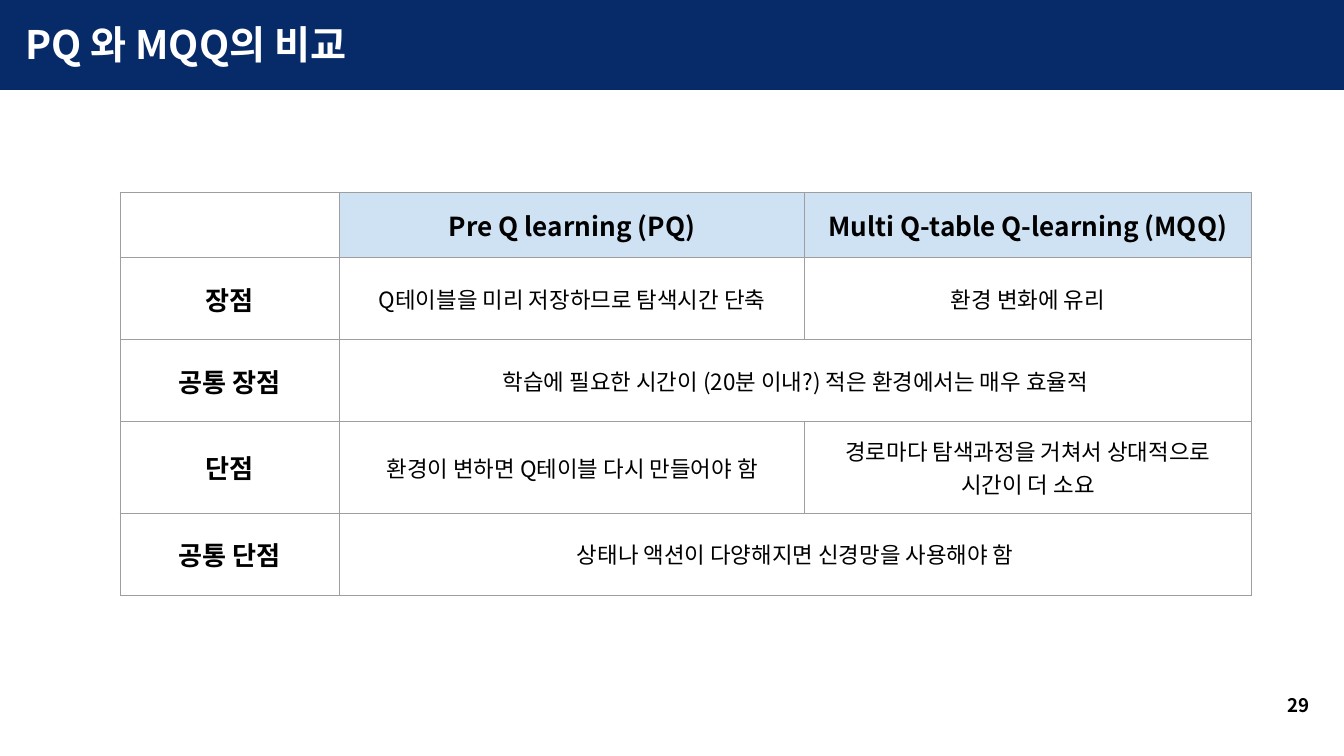
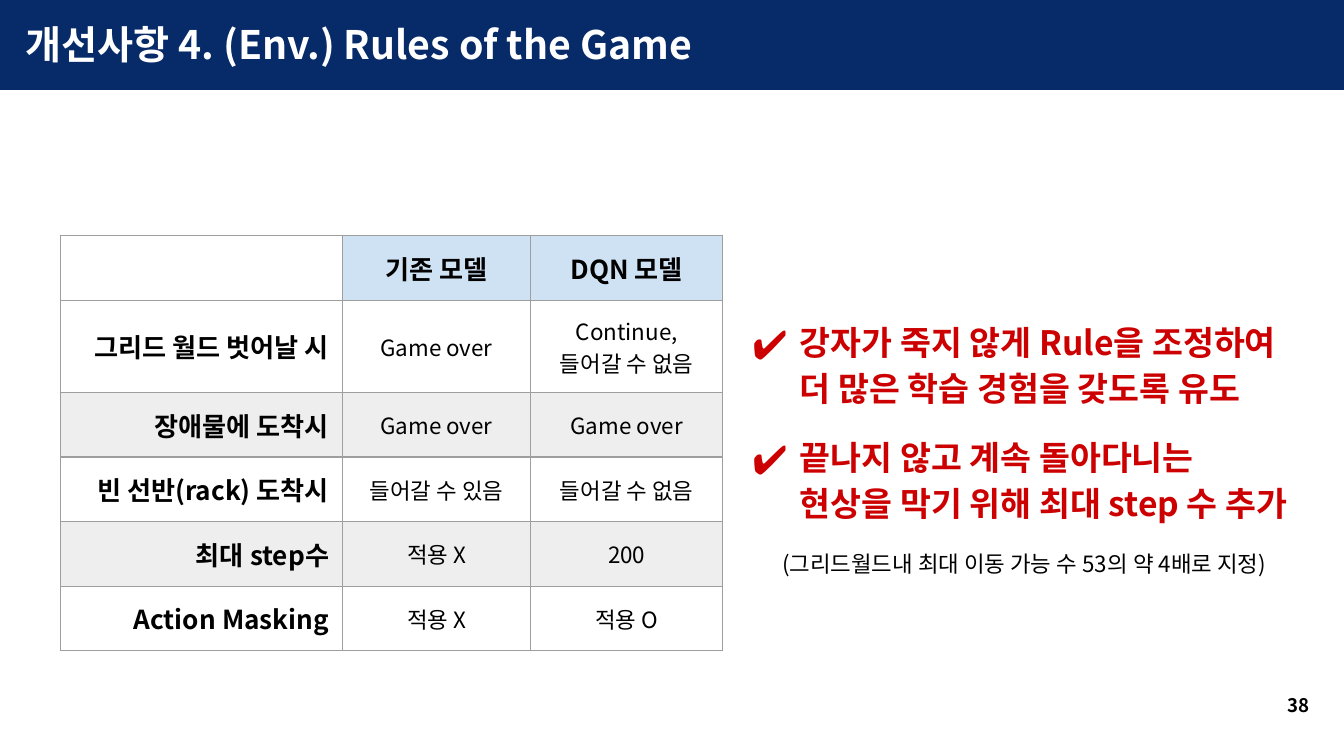
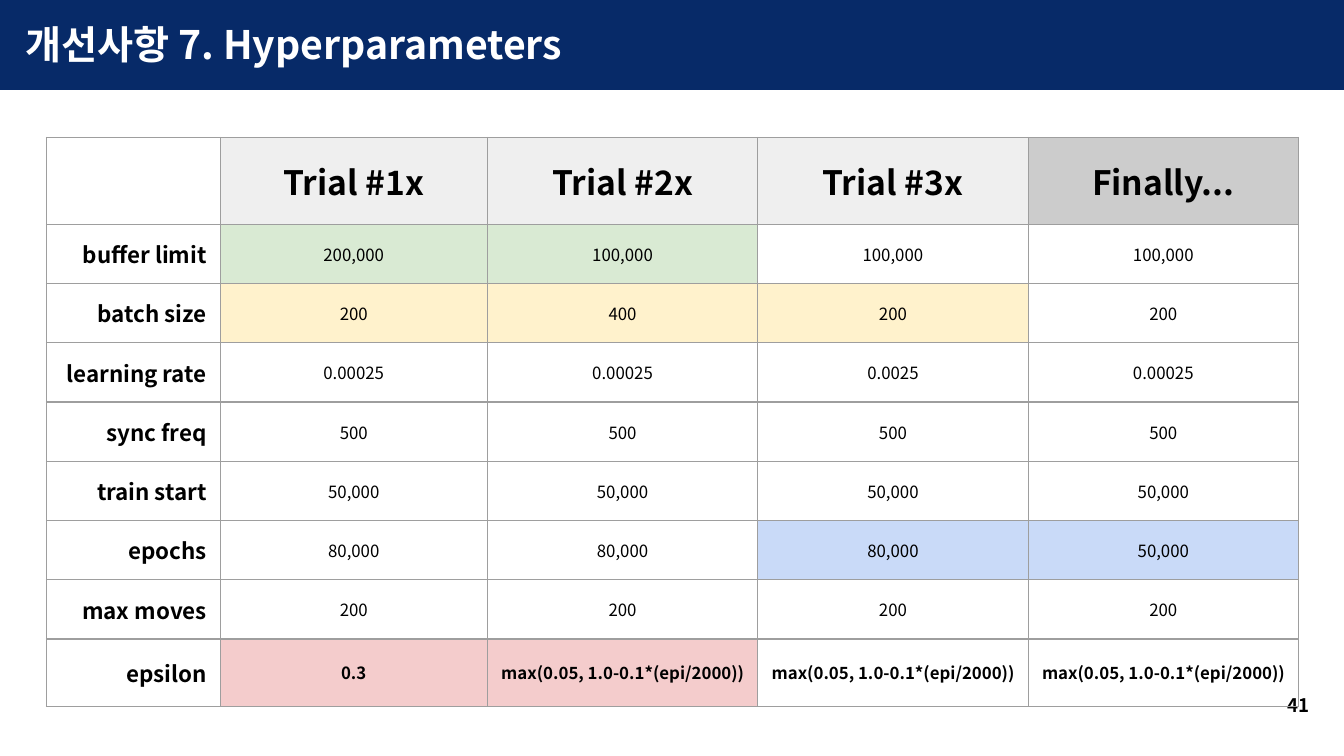
from lxml.etree import SubElement
from pptx import Presentation
from pptx.dml.color import RGBColor
from pptx.enum.shapes import MSO_SHAPE
from pptx.enum.text import MSO_ANCHOR, MSO_AUTO_SIZE, PP_ALIGN
from pptx.oxml import parse_xml
from pptx.oxml.ns import nsdecls, qn
from pptx.util import Cm, Pt

FONT = "Noto Sans CJK KR"
HUES = {
    "navy": "072A68", "white": "FFFFFF", "black": "000000", "red": "CC0000",
    "line": "9E9E9E", "sky": "CFE2F3", "band": "EEEEEE", "pale": "EFEFEF",
    "gray": "CCCCCC", "green": "D9EAD3", "cream": "FFF2CC",
    "blue": "C9DAF8", "pink": "F4CCCC",
}
PAD = 0.25
DECAY = "max(0.05, 1.0-0.1*(epi/2000))"

DECK = [
    {
        "title": "PQ 와 MQQ의 비교", "page": 29,
        "at": (2.27, 3.64),
        "cols": [4.15, 8.79, 8.44], "tall": [1.23, 1.55, 1.55, 1.73, 1.55],
        "sizes": {"head": 14, "side": 14, "body": 12},
        "side": PP_ALIGN.CENTER, "strong": [],
        "rows": [
            ["", "Pre Q learning (PQ)", "Multi Q-table Q-learning (MQQ)"],
            ["장점", "Q테이블을 미리 저장하므로 탐색시간 단축", "환경 변화에 유리"],
            ["공통 장점", "학습에 필요한 시간이 (20분 이내?) 적은 환경에서는 매우 효율적", None],
            ["단점", "환경이 변하면 Q테이블 다시 만들어야 함",
             "경로마다 탐색과정을 거쳐서 상대적으로 시간이 더 소요"],
            ["공통 단점", "상태나 액션이 다양해지면 신경망을 사용해야 함", None],
        ],
        "tints": [("sky", 0, 1, 2)],
    },
    {
        "title": "개선사항 4. (Env.) Rules of the Game", "page": 38,
        "at": (1.14, 4.45),
        "cols": [5.33, 3.56, 3.63], "tall": [1.23, 1.74] + [1.22] * 4,
        "sizes": {"head": 14, "side": 14, "body": 12},
        "side": PP_ALIGN.RIGHT, "strong": [],
        "rows": [
            ["", "기존 모델", "DQN 모델"],
            ["그리드 월드 벗어날 시", "Game over", "Continue,\n들어갈 수 없음"],
            ["장애물에 도착시", "Game over", "Game over"],
            ["빈 선반(rack) 도착시", "들어갈 수 있음", "들어갈 수 없음"],
            ["최대 step수", "적용 X", "200"],
            ["Action Masking", "적용 X", "적용 O"],
        ],
        "tints": [("sky", 0, 1, 2), ("band", 2, 0, 2), ("band", 4, 0, 2)],
        "points": [
            "강자가 죽지 않게 Rule을 조정하여\v더 많은 학습 경험을 갖도록 유도",
            "끝나지 않고 계속 돌아다니는\v현상을 막기 위해 최대 step 수 추가",
        ],
        "aside": "(그리드월드내 최대 이동 가능 수 53의 약 4배로 지정)",
    },
    {
        "title": "개선사항 7. Hyperparameters", "page": 41,
        "at": (0.88, 2.6),
        "cols": [3.28, 5.05] + [5.11] * 3, "tall": [1.64] + [1.12] * 7 + [1.27],
        "sizes": {"head": 18, "side": 12, "body": 9},
        "side": PP_ALIGN.RIGHT, "strong": [8],
        "rows": [
            ["", "Trial #1x", "Trial #2x", "Trial #3x", "Finally..."],
            ["buffer limit", "200,000", "100,000", "100,000", "100,000"],
            ["batch size", "200", "400", "200", "200"],
            ["learning rate", "0.00025", "0.00025", "0.0025", "0.00025"],
            ["sync freq"] + ["500"] * 4,
            ["train start"] + ["50,000"] * 4,
            ["epochs", "80,000", "80,000", "80,000", "50,000"],
            ["max moves"] + ["200"] * 4,
            ["epsilon", "0.3"] + [DECAY] * 3,
        ],
        "tints": [
            ("pale", 0, 1, 3), ("gray", 0, 4, 4), ("green", 1, 1, 2),
            ("cream", 2, 1, 3), ("blue", 6, 3, 4), ("pink", 8, 1, 2),
        ],
    },
]


def rgb(hue):
    return RGBColor.from_string(HUES[hue])


def apply(item, form):
    for name, value in form.items():
        setattr(item, name, value)


def style(para, size, hue="black", bold=True, **form):
    apply(para, form)
    for run in para.runs:
        apply(run.font, {"name": FONT, "size": Pt(size), "bold": bold})
        run.font.color.rgb = rgb(hue)
    if not para.runs:
        SubElement(para._p, qn("a:endParaRPr")).set("sz", str(size * 100))


def pad(item):
    sides = ("left", "top", "right", "bottom")
    apply(item, {f"margin_{side}": Cm(PAD) for side in sides})


def add_box(slide, place, lines, anchor=MSO_ANCHOR.MIDDLE):
    frame = slide.shapes.add_textbox(*map(Cm, place)).text_frame
    pad(frame)
    apply(frame, {"word_wrap": True, "vertical_anchor": anchor,
                  "text": "\n".join(lines)})
    return frame


def add_frame(slide, page):
    band = slide.shapes.add_shape(
        MSO_SHAPE.RECTANGLE, 0, 0, Cm(25.42), Cm(1.69))
    band.shadow.inherit = False
    band.fill.solid()
    band.fill.fore_color.rgb = band.line.color.rgb = rgb("navy")
    band.line.width = Pt(0.75)
    title = add_box(slide, (0.23, 0.03, 23.67, 1.6), [page["title"]])
    style(title.paragraphs[0], 21, "white")
    foot = add_box(slide, (23.48, 12.78, 1.52, 1.09), [str(page["page"])])
    style(foot.paragraphs[0], 10, alignment=PP_ALIGN.RIGHT)


def edge(cell):
    for i, side in enumerate("LRTB"):
        line = parse_xml(
            f'<a:ln{side} {nsdecls("a")} w="9525"><a:solidFill>'
            f'<a:srgbClr val="{HUES["line"]}"/></a:solidFill></a:ln{side}>')
        cell._tc.get_or_add_tcPr().insert(i, line)


def add_grid(slide, page):
    rows, cols, tall = page["rows"], page["cols"], page["tall"]
    place = map(Cm, (*page["at"], sum(cols), sum(tall)))
    grid = slide.shapes.add_table(len(rows), len(cols), *place).table
    apply(grid, {"first_row": False, "horz_banding": False})
    for col, wide in zip(grid.columns, cols):
        col.width = Cm(wide)
    for row, high in zip(grid.rows, tall):
        row.height = Cm(high)
    tints = {(r, c): hue for hue, r, first, last in page["tints"]
             for c in range(first, last + 1)}
    for r, row in enumerate(rows):
        for c, text in enumerate(row):
            cell = grid.cell(r, c)
            if (r, c) in tints:
                cell.fill.solid()
                cell.fill.fore_color.rgb = rgb(tints[r, c])
            else:
                cell.fill.background()
            edge(cell)
            pad(cell)
            part = "head" if r == 0 else "side" if c == 0 else "body"
            apply(cell, {"text": text or "", "vertical_anchor": MSO_ANCHOR.MIDDLE})
            for para in cell.text_frame.paragraphs:
                style(para, page["sizes"][part],
                      bold=part != "body" or r in page["strong"],
                      alignment=page["side"] if part == "side" else PP_ALIGN.CENTER)
            if text is None:
                grid.cell(r, c - 1).merge(cell)


def add_points(slide, page):
    points = page["points"]
    frame = add_box(slide, (13.97, 5.72, 11.23, 5.41),
                    points + [page["aside"]], MSO_ANCHOR.TOP)
    frame.auto_size = MSO_AUTO_SIZE.SHAPE_TO_FIT_TEXT
    for i, para in enumerate(frame.paragraphs):
        props = para._p.get_or_add_pPr()
        gap = {"space_before": Pt(12)} if i else {}
        if i < len(points):
            props.set("marL", str(Cm(0.9)))
            props.set("indent", str(-Cm(0.9)))
            SubElement(props, qn("a:buSzPct")).set("val", "120000")
            SubElement(props, qn("a:buFont")).set("typeface", FONT)
            SubElement(props, qn("a:buChar")).set("char", "✔")
            style(para, 18, "red", line_spacing=1.15, **gap)
        else:
            props.set("marL", str(Cm(0.56)))
            style(para, 12, bold=False, line_spacing=1.15,
                  space_after=Pt(12), **gap)


def main():
    deck = Presentation()
    apply(deck, {"slide_width": Cm(25.4), "slide_height": Cm(14.29)})
    for page in DECK:
        slide = deck.slides.add_slide(deck.slide_layouts[6])
        add_frame(slide, page)
        add_grid(slide, page)
        if "points" in page:
            add_points(slide, page)
    deck.save("out.pptx")


if __name__ == "__main__":
    main()
